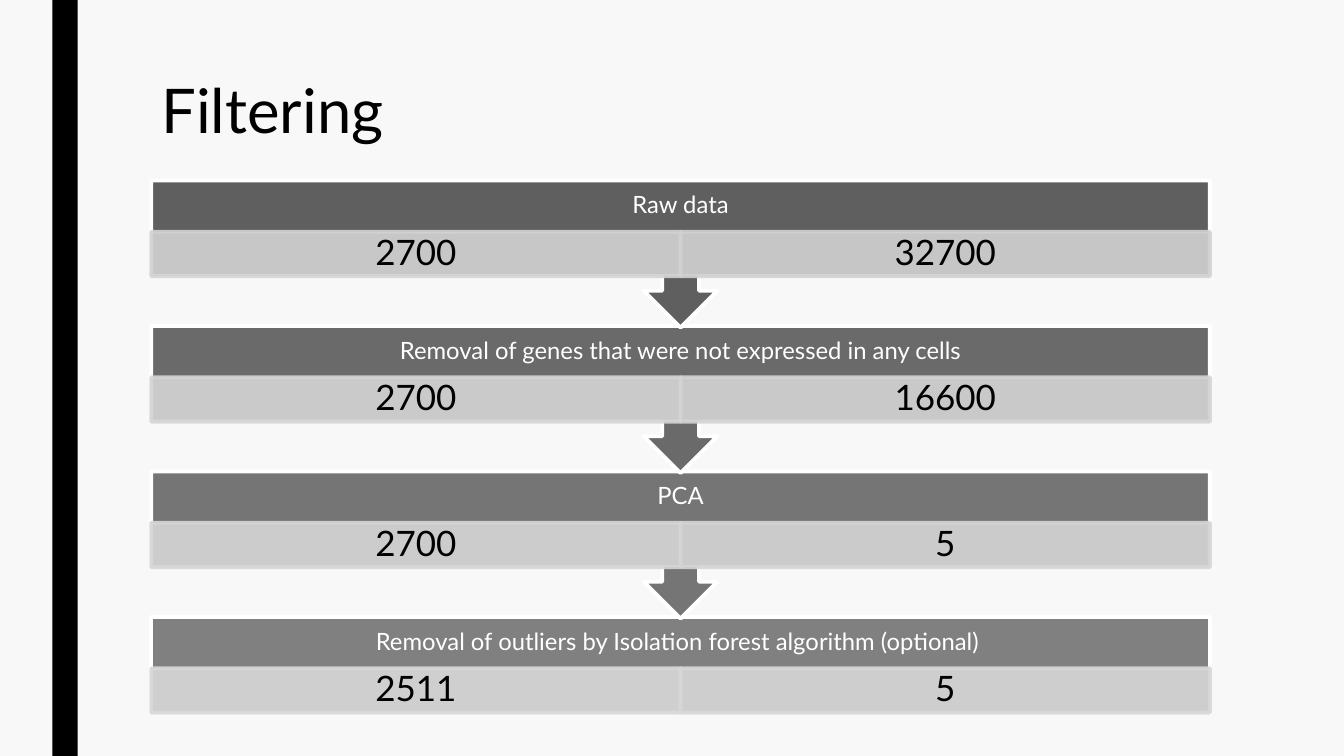
from pptx import Presentation
from pptx.dml.color import RGBColor
from pptx.enum.shapes import MSO_SHAPE
from pptx.enum.text import MSO_ANCHOR, PP_ALIGN
from pptx.oxml.ns import qn
from pptx.util import Inches, Pt
from lxml.etree import SubElement

LEFT, WIDTH = 1.5, 10.5
FIRST_TOP, LAST_TOP = 1.79, 6.12
HEADER_H, CELL_H = 0.51, 0.44
CALLOUT_H, LAST_H = 1.46, 0.95

# Header, header fill, then the text and fill of each cell
STEPS = [
    ("Raw data", "5F5F5F", [("2700", "D3D3D3"), ("32700", "D2D2D2")]),
    ("Removal of genes that were not expressed in any cells", "6A6A6A",
     [("2700", "D5D5D5"), ("16600", "D4D4D4")]),
    ("PCA", "757575", [("2700", "D6D6D6"), ("5", "D5D5D5")]),
    ("Removal of outliers by Isolation forest algorithm (optional) ", "808080",
     [("2511", "D8D8D8"), ("5", "D7D7D7")]),
]


def rgb(value):
    return RGBColor.from_string(value)


class FlowSlide:
    FONT = "Lato"
    BLACK, WHITE, BACKGROUND = "000000", "FFFFFF", "F8F8F8"
    LINE_WIDTH = 2.75

    def __init__(self, prs):
        self.slide = prs.slides.add_slide(prs.slide_layouts[5])
        fill = self.slide.background.fill
        fill.solid()
        fill.fore_color.rgb = rgb(self.BACKGROUND)

    def title(self, text, *box):
        sp = self.slide.shapes.title
        sp.left, sp.top, sp.width, sp.height = map(Inches, box)
        self.set_text(sp, text, 44, self.BLACK, (0.1, 0.05),
                      PP_ALIGN.LEFT, MSO_ANCHOR.TOP)

    def shape(self, kind, box, color, line=None, opacity=100):
        sp = self.slide.shapes.add_shape(kind, *map(Inches, box))
        sp.shadow.inherit = False
        sp.fill.solid()
        sp.fill.fore_color.rgb = rgb(color)
        if line:
            sp.line.color.rgb = rgb(line)
            sp.line.width = Pt(self.LINE_WIDTH)
        else:
            sp.line.fill.background()
        if opacity < 100:
            for clr in sp._element.spPr.iter(qn("a:srgbClr")):
                SubElement(clr, qn("a:alpha"), val=str(opacity * 1000))
        return sp

    def cell(self, text, color, *box):
        sp = self.shape(MSO_SHAPE.RECTANGLE, box, color, color, opacity=90)
        self.set_text(sp, text, 25, self.BLACK, (0.19, 0.03))

    def header(self, text, *box):
        sp = self.slide.shapes.add_textbox(*map(Inches, box))
        self.set_text(sp, text, 17, self.WHITE, (0.13, 0.13))

    def set_text(self, sp, text, size, color, insets,
                 align=PP_ALIGN.CENTER, anchor=MSO_ANCHOR.MIDDLE):
        tf = sp.text_frame
        tf.word_wrap = True
        tf.vertical_anchor = anchor
        tf.margin_left = tf.margin_right = Inches(insets[0])
        tf.margin_top = tf.margin_bottom = Inches(insets[1])
        p = tf.paragraphs[0]
        p.text = text
        p.alignment = align
        p.line_spacing = 0.9
        p.font.name = self.FONT
        p.font.size = Pt(size)
        p.font.color.rgb = rgb(color)

    def step(self, top, header, color, cells, is_last):
        """Draw a header bar, its row of cells and, unless last, a down arrow."""
        if is_last:
            self.shape(MSO_SHAPE.RECTANGLE, (LEFT, top, WIDTH, LAST_H),
                       color, self.WHITE)
        else:
            sp = self.shape(MSO_SHAPE.UP_ARROW_CALLOUT,
                            (LEFT, top, WIDTH, CALLOUT_H), color, self.WHITE)
            sp.rotation = 180
        self.header(header, LEFT, top, WIDTH, HEADER_H)
        cell_w = WIDTH / len(cells)
        for i, (text, cell_color) in enumerate(cells):
            self.cell(text, cell_color, LEFT + i * cell_w, top + HEADER_H,
                      cell_w, CELL_H)


def main():
    prs = Presentation()
    prs.slide_width, prs.slide_height = Inches(13.33), Inches(7.5)
    s = FlowSlide(prs)
    s.shape(MSO_SHAPE.RECTANGLE, (0.52, 0, 0.25, 7.5), s.BLACK)
    s.title("Filtering", LEFT, 0.75, WIDTH, 1.62)

    last = len(STEPS) - 1
    pitch = (LAST_TOP - FIRST_TOP) / last
    # Bottom step first, so that each arrow tip lies over the step below
    for i in range(last, -1, -1):
        s.step(FIRST_TOP + i * pitch, *STEPS[i], is_last=i == last)
    prs.save("out.pptx")


if __name__ == "__main__":
    main()
